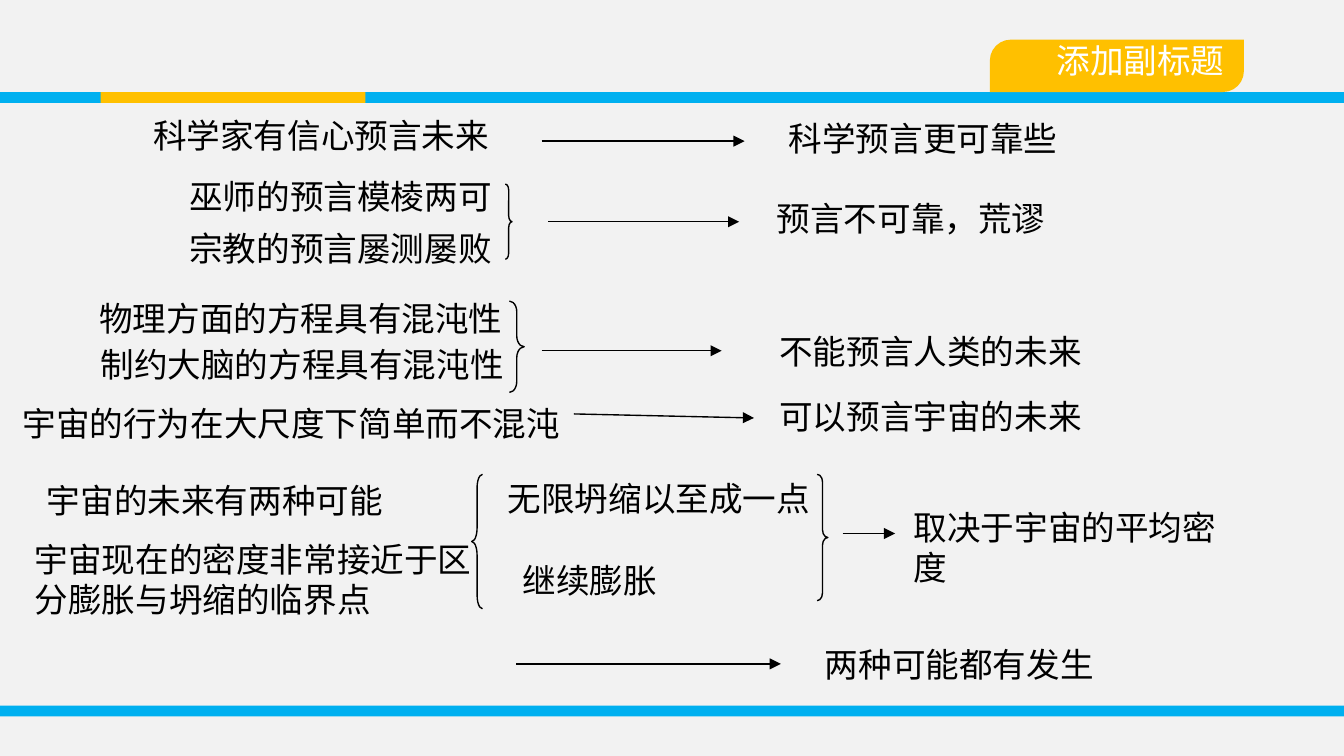
from pptx import Presentation
from pptx.dml.color import RGBColor
from pptx.enum.shapes import MSO_CONNECTOR, MSO_SHAPE
from pptx.enum.text import MSO_ANCHOR, MSO_AUTO_SIZE, PP_ALIGN
from pptx.oxml.ns import qn
from pptx.util import Inches, Pt
from lxml import etree

RECT = MSO_SHAPE.RECTANGLE
TAG = MSO_SHAPE.ROUND_2_DIAG_RECTANGLE
LEFT_BRACE, RIGHT_BRACE = MSO_SHAPE.LEFT_BRACE, MSO_SHAPE.RIGHT_BRACE
STRAIGHT = MSO_CONNECTOR.STRAIGHT
TOP = MSO_ANCHOR.TOP
LEFT, RIGHT = PP_ALIGN.LEFT, PP_ALIGN.RIGHT
GROW = MSO_AUTO_SIZE.SHAPE_TO_FIT_TEXT

GREY = RGBColor(0xF2, 0xF2, 0xF2)
BLUE = RGBColor(0x00, 0xB0, 0xF0)
GOLD = RGBColor(0xFF, 0xC0, 0x00)
BLACK = RGBColor(0, 0, 0)
WHITE = RGBColor(0xFF, 0xFF, 0xFF)

COLS, ROWS = 100, 56.25  # square grid cells
LINE, TWO = 4, 7.1  # rows taken by one and two lines of text
BAR = 0.8


def grid(*cells):
    """Turn grid cells into lengths."""
    return [Inches(n / 10) for n in cells]


def write(frame, text, size=18, color=BLACK, align=LEFT):
    frame.word_wrap = True
    frame.vertical_anchor = TOP
    par = frame.paragraphs[0]
    par.alignment = align
    run = par.add_run()
    run.text = text
    run.font.size = Pt(size)
    run.font.name = "Arial"
    run.font.color.rgb = color


def label(slide, box, text, x, y, wide, high=LINE):
    pos = grid(box[0] + x, box[1] + y, wide, high)
    frame = slide.shapes.add_textbox(*pos).text_frame
    write(frame, text)
    frame.auto_size = GROW


def block(slide, kind, color, x, y, wide, high):
    shape = slide.shapes.add_shape(kind, *grid(x, y, wide, high))
    shape.shadow.inherit = False
    shape.fill.solid()
    shape.fill.fore_color.rgb = color
    shape.line.fill.background()
    return shape


def brace(slide, box, kind, bend, x, y, wide, high):
    pos = grid(box[0] + x, box[1] + y, wide, high)
    shape = slide.shapes.add_shape(kind, *pos)
    shape.shadow.inherit = False
    shape.fill.background()
    shape.line.color.rgb = BLACK
    shape.line.width = Pt(0.75)
    shape.adjustments[0] = bend
    shape.adjustments[1] = 0.5


def arrow(slide, box, x, y, wide, drop=0):
    left, top = box[0] + x, box[1] + y
    ends = grid(left, top, left + wide, top + drop)
    line = slide.shapes.add_connector(STRAIGHT, *ends)
    line.line.color.rgb = BLACK
    line.line.width = Pt(0.75)
    props = line._element.spPr
    etree.SubElement(props.find(qn("a:ln")), qn("a:tailEnd"), type="triangle")
    etree.SubElement(props, qn("a:effectLst"))


def frame_page(slide, wide):
    """Draw the bars and the subtitle tag."""
    for top in (52.5, 6.85):
        block(slide, RECT, BLUE, 0, top, wide, BAR)
    block(slide, RECT, GOLD, 7.5, 6.85, 19.7, BAR)
    tag = block(slide, TAG, GOLD, 73.65, 2.95, 18.9, 3.9)
    tag.adjustments[0] = 0.4
    frame = tag.text_frame
    frame.margin_top, frame.margin_bottom = Inches(-0.04), 0
    frame.margin_right = Inches(0.1)
    write(frame, "添加副标题", color=WHITE, align=RIGHT)


def claims(slide, box):
    """Place the claims, each with an arrow to what follows from it."""
    for text, x, y, wide in (
        ("科学家有信心预言未来", 10.4, 0, 28.9),
        ("科学预言更可靠些", 57.7, 0.2, 26.4),
        ("巫师的预言模棱两可", 13.1, 4.5, 25.5),
        ("宗教的预言屡测屡败", 13.1, 8.4, 24.7),
        ("预言不可靠，荒谬", 56.8, 6.1, 29.9),
        ("物理方面的方程具有混沌性", 6.4, 13.6, 33.5),
        ("制约大脑的方程具有混沌性", 6.5, 17, 32.7),
        ("不能预言人类的未来", 57, 16, 27.2),
        ("宇宙的行为在大尺度下简单而不混沌", 0.7, 21.4, 42.3),
        ("可以预言宇宙的未来", 57, 20.9, 27.4),
    ):
        label(slide, box, text, x, y, wide)
    arrow(slide, box, 40.3, 2.4, 15.1)
    arrow(slide, box, 40.8, 8.4, 14.2)
    arrow(slide, box, 40.3, 18, 13.4)
    arrow(slide, box, 42.7, 22.7, 13.4, drop=0.3)
    brace(slide, box, RIGHT_BRACE, 0.9, 37.6, 5.6, 0.5, 5.6)
    brace(slide, box, RIGHT_BRACE, 0.74, 37.9, 14.3, 1.1, 6.8)


def fates(slide, box):
    """Place the two futures of the universe and what decides them."""
    for text, x, y, wide, high in (
        ("宇宙的未来有两种可能", 2.5, 0.1, 36.2, LINE),
        ("继续膨胀", 37.9, 6.1, 17.3, LINE),
        ("无限坍缩以至成一点", 36.8, 0, 26.7, LINE),
        ("取决于宇宙的平均密度", 67, 2.1, 25.6, TWO),
        ("宇宙现在的密度非常接近于区分膨胀与坍缩的临界点", 1.6, 4.5, 35.4, TWO),
        ("两种可能都有发生", 60.4, 12.3, 24, LINE),
    ):
        label(slide, box, text, x, y, wide, high)
    arrow(slide, box, 62.7, 4.6, 3.9)
    arrow(slide, box, 38.4, 14.3, 19.7)
    brace(slide, box, LEFT_BRACE, 1.23, 35.1, 0.2, 0.8, 10)
    brace(slide, box, RIGHT_BRACE, 0.71, 60.8, 0.2, 0.8, 9.4)


def main():
    deck = Presentation()
    deck.slide_width, deck.slide_height = grid(COLS, ROWS)
    slide = deck.slides.add_slide(deck.slide_layouts[6])
    slide.background.fill.solid()
    slide.background.fill.fore_color.rgb = GREY
    frame_page(slide, COLS)
    claims(slide, (0, 8.1))
    fates(slide, (0, 35.1))
    deck.save("out.pptx")


if __name__ == "__main__":
    main()
